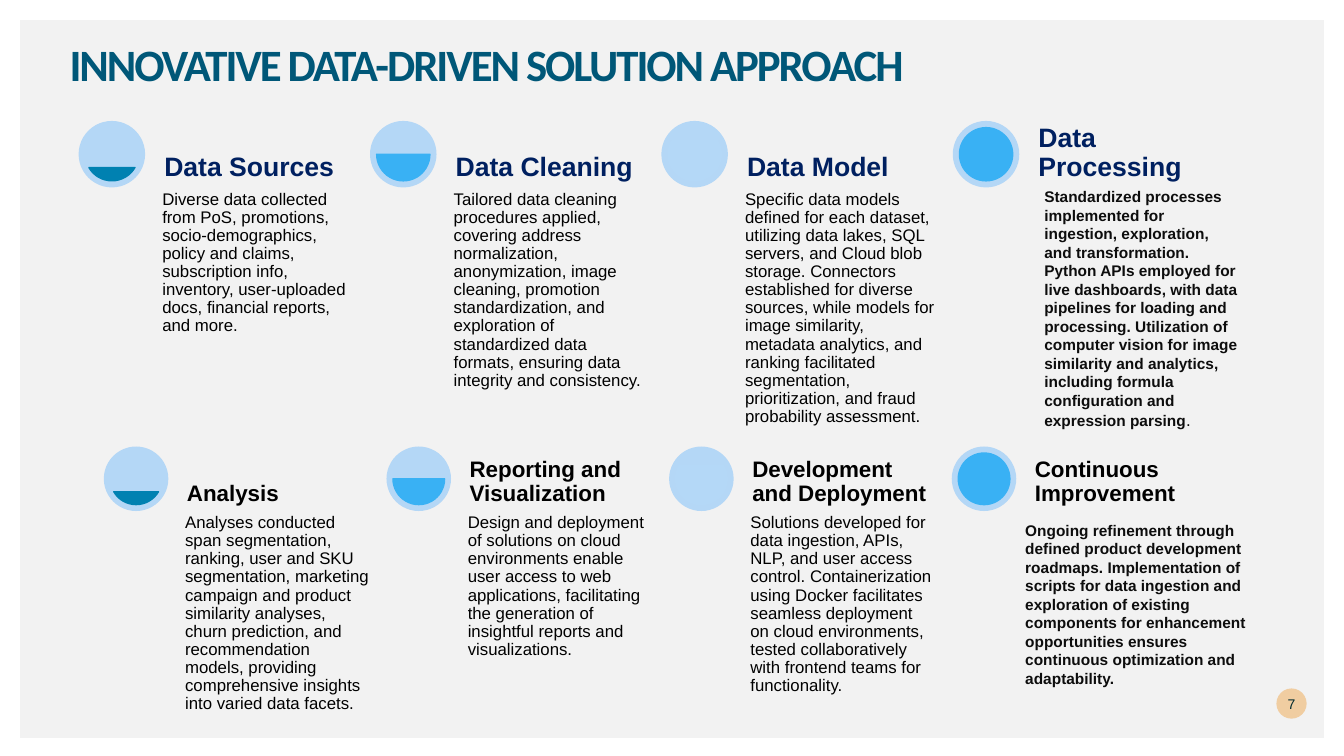
from dataclasses import dataclass

from pptx import Presentation
from pptx.dml.color import RGBColor
from pptx.enum.shapes import MSO_SHAPE
from pptx.enum.text import MSO_ANCHOR, MSO_AUTO_SIZE, PP_ALIGN
from pptx.util import Inches, Pt

ELLIPSE, CHORD, RECTANGLE = MSO_SHAPE.OVAL, MSO_SHAPE.CHORD, MSO_SHAPE.RECTANGLE
TOP, MIDDLE, BOTTOM = MSO_ANCHOR.TOP, MSO_ANCHOR.MIDDLE, MSO_ANCHOR.BOTTOM
LEFT, CENTER = PP_ALIGN.LEFT, PP_ALIGN.CENTER
NO_FIT, GROW = MSO_AUTO_SIZE.NONE, MSO_AUTO_SIZE.SHAPE_TO_FIT_TEXT

SLIDE_WIDTH, SLIDE_HEIGHT = 13.33, 7.5


@dataclass(frozen=True)
class Theme:
    title_font: str = "Calibri"
    body_font: str = "Arial"
    panel: str = "F2F2F2"
    title: str = "005778"
    navy: str = "002060"
    black: str = "000000"
    note: str = "0D0D0D"
    badge: str = "F0CDA1"
    badge_text: str = "00292E"
    disc: str = "B4D7F6"
    title_size: int = 32
    body_size: int = 12
    note_size: int = 11
    badge_size: int = 10


@dataclass(frozen=True)
class Band:
    """One row of the grid; all its lengths shrink with scale."""
    left: float
    top: float
    scale: float
    heading_size: int
    heading_color: str

    def length(self, inches):
        return inches * self.scale

    def column(self, number):
        return self.left + number * self.length(2.89)


class SlideBuilder:
    def __init__(self, presentation, theme):
        self.theme = theme
        self.slide = presentation.slides.add_slide(presentation.slide_layouts[5])

    def shape(self, kind, box, color, outlined=False):
        shape = self.slide.shapes.add_shape(kind, *map(Inches, box))
        shape.shadow.inherit = False
        shape.fill.solid()
        shape.fill.fore_color.rgb = RGBColor.from_string(color)
        if outlined:
            shape.line.color.rgb = RGBColor.from_string(color)
            shape.line.width = Pt(1)
        else:
            shape.line.fill.background()
        return shape

    def set_text(self, shape, text, size, color, bold=False, font=None, anchor=TOP,
                 align=LEFT, inset=0.0, spacing=None, fit=NO_FIT):
        frame = shape.text_frame
        frame.text = text
        frame.word_wrap = True
        frame.auto_size = fit
        frame.vertical_anchor = anchor
        if inset is not None:
            frame.margin_left = frame.margin_right = Inches(inset)
            frame.margin_top = frame.margin_bottom = Inches(inset)
        paragraph = frame.paragraphs[0]
        paragraph.alignment = align
        paragraph.line_spacing = spacing
        run = paragraph.runs[0]
        self.style_run(run, size, color, bold, font)
        return run

    def style_run(self, run, size, color, bold=False, font=None):
        run.font.name = font or self.theme.body_font
        run.font.size = Pt(size)
        run.font.bold = bold
        run.font.color.rgb = RGBColor.from_string(color)

    def text(self, box, text, size, color, **style):
        shape = self.slide.shapes.add_textbox(*map(Inches, box))
        self.set_text(shape, text, size, color, **style)
        return shape

    def title(self, box, text):
        title = self.slide.shapes.title
        title.left, title.top, title.width, title.height = map(Inches, box)
        run = self.set_text(title, text, self.theme.title_size, self.theme.title,
                            bold=True, font=self.theme.title_font, spacing=0.9)
        run._r.get_or_add_rPr().set("spc", "-150")

    def panel(self, margin):
        box = (margin, margin, SLIDE_WIDTH - 2 * margin, SLIDE_HEIGHT - 0.18 - margin)
        panel = self.shape(RECTANGLE, box, self.theme.panel)
        self.slide.shapes.title._element.addprevious(panel._element)

    def badge(self, box, text):
        badge = self.shape(ELLIPSE, box, self.theme.badge)
        self.set_text(badge, text, self.theme.badge_size, self.theme.badge_text,
                      anchor=MIDDLE, align=CENTER)

    def gauge(self, left, top, size, level):
        color, angles = level
        inset = size / 10
        self.shape(ELLIPSE, (left, top, size, size), self.theme.disc)
        chord = self.shape(CHORD, (left + inset, top + inset, size * 0.8, size * 0.8),
                           color, outlined=True)
        for index, angle in enumerate(angles):
            chord.adjustments[index] = angle

    def step(self, band, number, heading, body):
        left, size = band.column(number), band.length(0.66)
        text_left, width = left + band.length(0.8), band.length(1.96)
        self.gauge(left, band.top, size, LEVELS[number])
        if body:
            body_top = band.top + size
            height = min(band.length(2.78), SLIDE_HEIGHT - body_top)
            self.text((text_left, body_top, width, height), body,
                      self.theme.body_size, self.theme.black, inset=0.03, spacing=0.9)
        self.text((text_left, band.top, width, size), heading, band.heading_size,
                  band.heading_color, bold=True, anchor=BOTTOM,
                  inset=band.length(0.05), spacing=0.9)

    def note(self, box, text):
        return self.text(box, text, self.theme.note_size, self.theme.note,
                         bold=True, inset=None, fit=GROW)


THEME = Theme()

# Gauge colour and chord angles for each column
LEVELS = [("0081B1", (18, 90)), ("39B1F4", (0, 108)),
          ("B4D8F7", (198, 126)), ("39B1F4", (162, 162))]

# Headings and bodies by band; the fourth body is a separate bold note
STEPS = [
    (Band(0.78, 1.2, 1, 19, THEME.navy), [
        ("Data Sources", "Diverse data collected from PoS, promotions, socio-demographics, "
         "policy and claims, subscription info, inventory, user-uploaded docs, "
         "financial reports, and more."),
        ("Data Cleaning", "Tailored data cleaning procedures applied, covering address "
         "normalization, anonymization, image cleaning, promotion standardization, and "
         "exploration of standardized data formats, ensuring data integrity and consistency."),
        ("Data Model", "Specific data models defined for each dataset, utilizing data lakes, "
         "SQL servers, and Cloud blob storage. Connectors established for diverse sources, "
         "while models for image similarity, metadata analytics, and ranking facilitated "
         "segmentation, prioritization, and fraud probability assessment."),
        ("Data Processing", None),
    ]),
    (Band(1.03, 4.43, 0.97, 16, THEME.black), [
        ("Analysis", "Analyses conducted span segmentation, ranking, user and SKU "
         "segmentation, marketing campaign and product similarity analyses, churn prediction, "
         "and recommendation models, providing comprehensive insights into varied data facets."),
        ("Reporting and Visualization", "Design and deployment of solutions on cloud "
         "environments enable user access to web applications, facilitating the generation "
         "of insightful reports and visualizations."),
        ("Development and Deployment", "Solutions developed for data ingestion, APIs, NLP, "
         "and user access control. Containerization using Docker facilitates seamless "
         "deployment on cloud environments, tested collaboratively with frontend teams "
         "for functionality."),
        ("Continuous Improvement", None),
    ]),
]

PROCESSING_NOTE = (
    "Standardized processes implemented for ingestion, exploration, and transformation. "
    "Python APIs employed for live dashboards, with data pipelines for loading and "
    "processing. Utilization of computer vision for image similarity and analytics, "
    "including formula configuration and expression parsing")
IMPROVEMENT_NOTE = (
    "Ongoing refinement through defined product development roadmaps. Implementation of "
    "scripts for data ingestion and exploration of existing components for enhancement "
    "opportunities ensures continuous optimization and adaptability.")


def main():
    presentation = Presentation()
    presentation.slide_width = Inches(SLIDE_WIDTH)
    presentation.slide_height = Inches(SLIDE_HEIGHT)
    builder = SlideBuilder(presentation, THEME)

    # Panel, title and page number
    builder.panel(0.2)
    builder.title((0.69, 0.42, 10.88, 0.4), "INNOVATIVE DATA-DRIVEN SOLUTION APPROACH")
    builder.badge((12.66, 6.83, 0.3, 0.3), "7")

    # Two bands of four steps
    for band, steps in STEPS:
        for number, (heading, body) in enumerate(steps):
            builder.step(band, number, heading, body)

    # Bold notes of the fourth column
    processing = builder.note((10.26, 1.81, 2.13, 2.52), PROCESSING_NOTE)
    full_stop = processing.text_frame.paragraphs[0].add_run()
    full_stop.text = "."
    builder.style_run(full_stop, THEME.body_size, THEME.note)
    builder.note((10.07, 5.12, 2.45, 1.77), IMPROVEMENT_NOTE)

    presentation.save("out.pptx")


if __name__ == "__main__":
    main()
